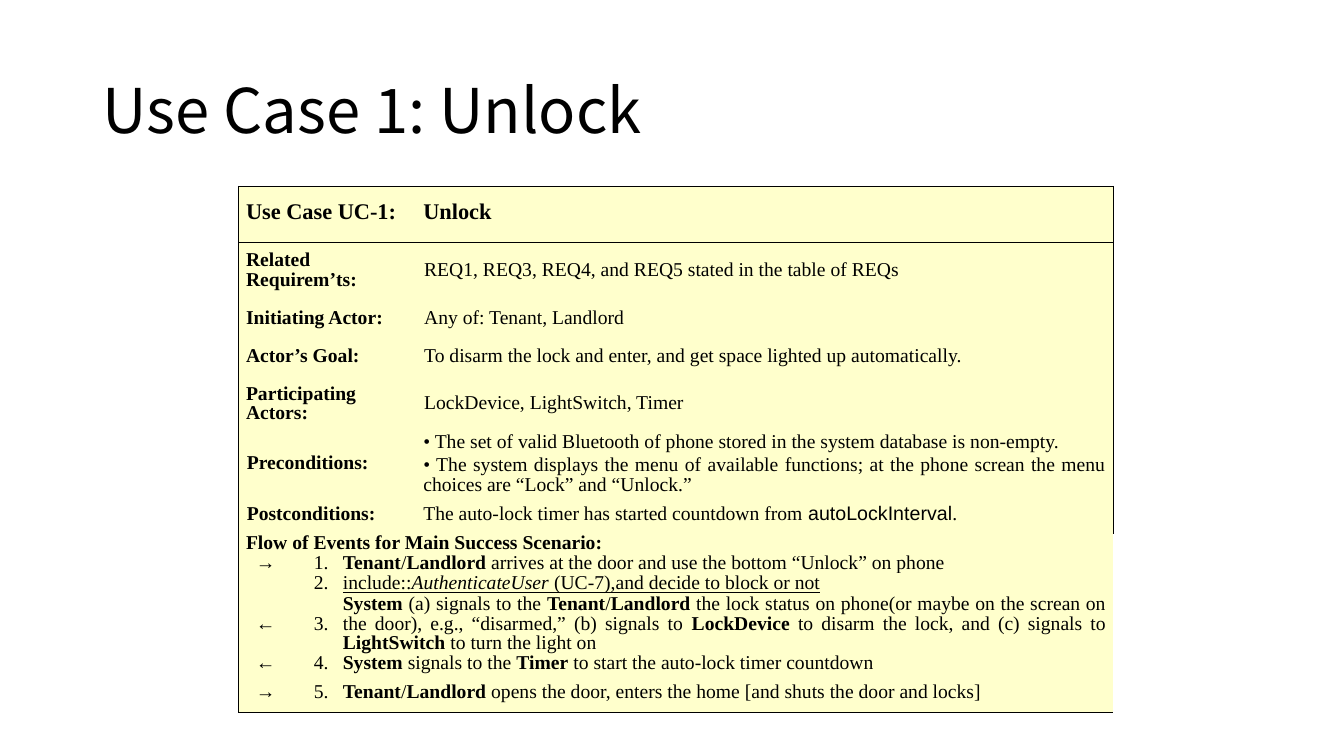
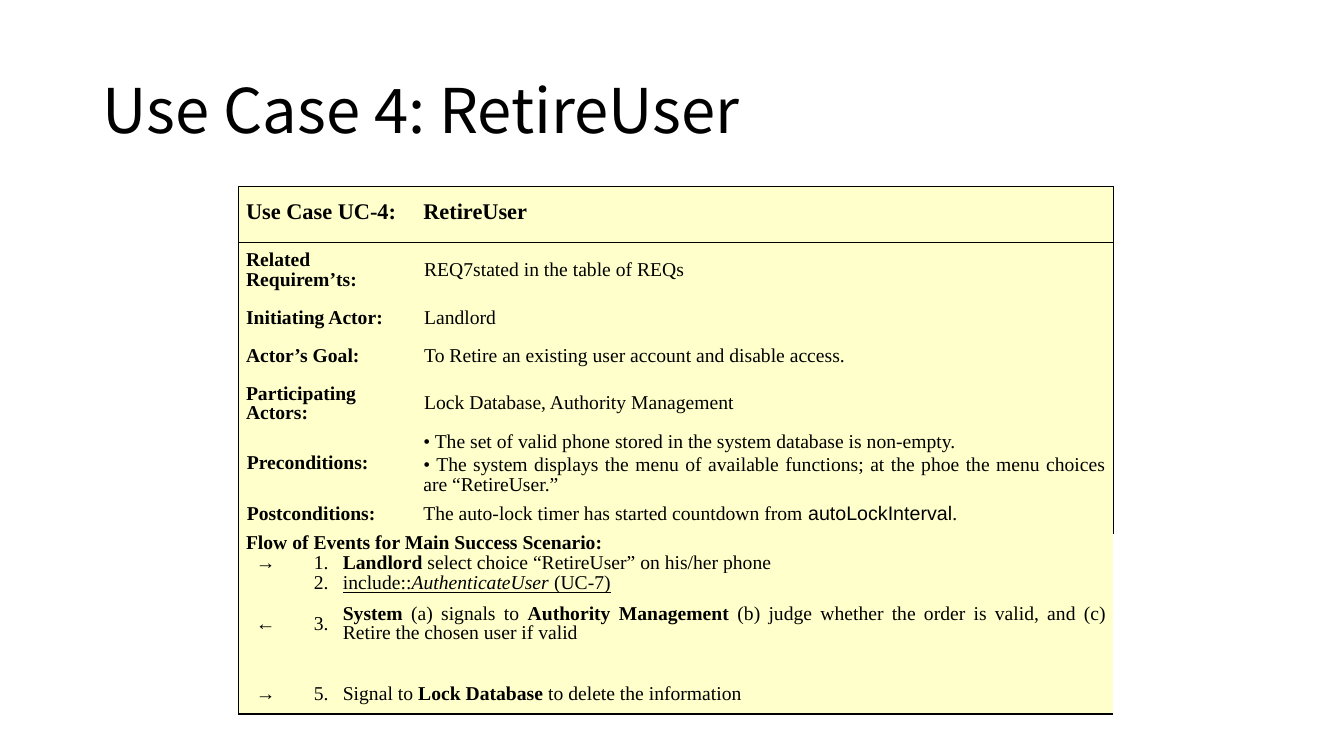
import lxml.etree
import pptx
import pptx.dml.color
import pptx.enum.text
import pptx.oxml.ns
import pptx.util

Cm = pptx.util.Cm
Pt = pptx.util.Pt
qn = pptx.oxml.ns.qn
Align = pptx.enum.text.PP_ALIGN
MIDDLE = pptx.enum.text.MSO_ANCHOR.MIDDLE

COLORS = {"ink": "000000", "paper": "FFFFCC"}
TITLE_FONT = "Noto Sans CJK SC"
BODY_FONT = "Times New Roman"
CODE_FONT = "Arial"

TITLE_BOX = (2.33, 1.01, 29.21, 3.68)
CARD_BOX = (6.02, 4.7, 22.04)
MARKER_WIDTHS = (1.35, 1.09, 2.03)
HEADING_HEIGHT = 1.42
FIELD_HEIGHTS = (1.42, 0.97, 0.97, 1.42, 1.59, 0.97)
FLOW_HEIGHT = 0.49
STEP_HEIGHTS = (0.49, 0.49, 1.48, 0.49, 0.97)

FIELD_NAMES = ("Related Requirem’ts:", "Initiating Actor:", "Actor’s Goal:",
               "Participating Actors:", "Preconditions:", "Postconditions:")
FLOW_TITLE = "Flow of Events for Main Success Scenario:"
EVEN_INSETS = (0.18, 0.18)
NAME_INSETS = (0.2, 0.05)
VALUE_INSETS = (0.2, 0.1)

TENANT_OR_LANDLORD = [("Tenant", "b"), "/", ("Landlord", "b")]
INCLUDE_LOGIN = [("include::", "u"), ("AuthenticateUser", "ui")]
POSTCONDITION = ["The auto-lock timer has started countdown from ",
                 ("autoLockInterval", "c"), "."]

USE_CASES = [
    {
        "number": 1,
        "name": "Unlock",
        "fields": [
            [["REQ1, REQ3, REQ4, and REQ5 stated in the table of REQs"]],
            [["Any of: Tenant, Landlord"]],
            [["To disarm the lock and enter, and get space lighted up automatically."]],
            [["LockDevice, LightSwitch, Timer"]],
            [["• The set of valid Bluetooth of phone stored in the system database is non-empty."],
             ["• The system displays the menu of available functions; at the phone screan "
              "the menu choices are “Lock” and “Unlock.”"]],
            [POSTCONDITION],
        ],
        "steps": [
            ("→", "1.", TENANT_OR_LANDLORD
             + [" arrives at the door and use the bottom “Unlock” on phone"]),
            ("", "2.", INCLUDE_LOGIN + [(" (UC-7),and decide to block or not", "u")]),
            ("←", "3.", [("System", "b"), " (a) signals to the "] + TENANT_OR_LANDLORD
             + [" the lock status on phone(or maybe on the screan on the door), "
                "e.g., “disarmed,” (b) signals to ", ("LockDevice", "b"),
                " to disarm the lock, and (c) signals to ", ("LightSwitch", "b"),
                " to turn the light on"]),
            ("←", "4.", [("System", "b"), " signals to the ", ("Timer", "b"),
                         " to start the auto-lock timer countdown"]),
            ("→", "5.", TENANT_OR_LANDLORD
             + [" opens the door, enters the home [and shuts the door and locks]"]),
        ],
    },
    {
        "number": 4,
        "name": "RetireUser",
        "fields": [
            [["REQ7stated in the table of REQs"]],
            [["Landlord"]],
            [["To Retire an existing user account and disable access."]],
            [["Lock Database, Authority Management"]],
            [["• The set of valid phone stored in the system database is non-empty."],
             ["• The system displays the menu of available functions; at the phoe "
              "the menu choices are “RetireUser.”"]],
            [POSTCONDITION],
        ],
        "steps": [
            ("→", "1.", [("Landlord", "b"), " select choice “RetireUser” on his/her phone"]),
            ("", "2.", INCLUDE_LOGIN + [(" (UC-7)", "u")]),
            ("←", "3.", [("System", "b"), " (a) signals to ", ("Authority Management ", "b"),
                         "(b) judge whether the order is valid, and (c) Retire the chosen "
                         "user if valid"]),
            ("", "", []),
            ("→", "5.", ["Signal to ", ("Lock Database ", "b"), "to delete the information"]),
        ],
    },
]


def style_font(font, name, size, bold=False):
    font.name = name
    font.size = Pt(size)
    font.bold = bold
    font.color.rgb = pptx.dml.color.RGBColor.from_string(COLORS["ink"])


def add_run(paragraph, piece):
    text, marks = (piece, "") if isinstance(piece, str) else piece
    run = paragraph.add_run()
    run.text = text
    if "b" in marks:
        run.font.bold = True
    if "i" in marks:
        run.font.italic = True
    if "u" in marks:
        run.font.underline = True
    if "c" in marks:
        run.font.name = CODE_FONT


def write_cell(cell, paragraphs, align=Align.JUSTIFY, insets=EVEN_INSETS,
               size=14, bold=False, before=0):
    cell.margin_left, cell.margin_right = (Cm(inset) for inset in insets)
    cell.margin_top = cell.margin_bottom = 0
    cell.vertical_anchor = MIDDLE
    for index, pieces in enumerate(paragraphs):
        frame = cell.text_frame
        paragraph = frame.add_paragraph() if index else frame.paragraphs[0]
        paragraph.alignment = align
        paragraph.line_spacing = Pt(14)
        paragraph.space_before = Pt(before)
        style_font(paragraph.font, BODY_FONT, size, bold)
        for piece in pieces:
            add_run(paragraph, piece)


def frame_cell(cell, ruled_edges):
    properties = cell._tc.get_or_add_tcPr()
    for edge in "LRTB":
        line = lxml.etree.SubElement(properties, qn(f"a:ln{edge}"), w=str(Pt(1)))
        if edge in ruled_edges:
            fill = lxml.etree.SubElement(line, qn("a:solidFill"))
            lxml.etree.SubElement(fill, qn("a:srgbClr"), val=COLORS["ink"])
        else:
            lxml.etree.SubElement(line, qn("a:noFill"))
    cell.fill.solid()
    cell.fill.fore_color.rgb = pptx.dml.color.RGBColor.from_string(COLORS["paper"])


def frame_card(card):
    last_row, last_column = len(card.rows) - 1, len(card.columns) - 1
    for row in range(last_row + 1):
        for column in range(last_column + 1):
            ruled = {"L": column == 0, "R": column == last_column,
                     "T": row in (0, 1), "B": row in (0, last_row)}
            frame_cell(card.cell(row, column), [edge for edge in ruled if ruled[edge]])


def write_heading(card, use_case):
    card.cell(0, 0).merge(card.cell(0, 2))
    for column, text in ((0, f"Use Case UC-{use_case['number']}:"), (3, use_case["name"])):
        write_cell(card.cell(0, column), [[text]], Align.LEFT, size=16, bold=True, before=6)


def write_fields(card, first_row, fields):
    for index, (name, paragraphs) in enumerate(zip(FIELD_NAMES, fields)):
        row = first_row + index
        is_condition = name.endswith("conditions:")
        card.cell(row, 0).merge(card.cell(row, 2))
        write_cell(card.cell(row, 0), [[name]], bold=True, before=3,
                   insets=NAME_INSETS if is_condition else EVEN_INSETS)
        write_cell(card.cell(row, 3), paragraphs, before=3,
                   insets=EVEN_INSETS if is_condition else VALUE_INSETS)


def write_flow(card, first_row, steps):
    card.cell(first_row, 0).merge(card.cell(first_row, 3))
    write_cell(card.cell(first_row, 0), [[FLOW_TITLE]], bold=True, before=4)
    for row, (arrow, number, action) in enumerate(steps, first_row + 1):
        card.cell(row, 2).merge(card.cell(row, 3))
        write_cell(card.cell(row, 0), [[arrow] if arrow else []], Align.CENTER)
        write_cell(card.cell(row, 1), [[number] if number else []], Align.RIGHT)
        write_cell(card.cell(row, 2), [action])


def add_card(slide, box, use_case):
    left, top, width = box
    heights = (HEADING_HEIGHT, *FIELD_HEIGHTS, FLOW_HEIGHT, *STEP_HEIGHTS)
    widths = (*MARKER_WIDTHS, width - sum(MARKER_WIDTHS))
    card = slide.shapes.add_table(len(heights), len(widths), Cm(left), Cm(top),
                                  Cm(width), Cm(sum(heights))).table
    card.first_row = card.horz_banding = False
    for row, height in zip(card.rows, heights):
        row.height = Cm(height)
    for column, column_width in zip(card.columns, widths):
        column.width = Cm(column_width)
    frame_card(card)
    write_heading(card, use_case)
    write_fields(card, 1, use_case["fields"])
    write_flow(card, 1 + len(FIELD_NAMES), use_case["steps"])


def set_title(slide, box, text):
    title = slide.shapes.title
    title.left, title.top, title.width, title.height = (Cm(length) for length in box)
    title.text_frame.text = text
    title.text_frame.vertical_anchor = MIDDLE
    paragraph = title.text_frame.paragraphs[0]
    paragraph.alignment = Align.LEFT
    paragraph.line_spacing = 0.9
    style_font(paragraph.font, TITLE_FONT, 44)


def add_use_case_slide(deck, use_case):
    slide = deck.slides.add_slide(deck.slide_layouts.get_by_name("Title Only"))
    set_title(slide, TITLE_BOX, f"Use Case {use_case['number']}: {use_case['name']}")
    add_card(slide, CARD_BOX, use_case)


def main():
    deck = pptx.Presentation()
    deck.slide_width, deck.slide_height = Cm(33.87), Cm(19.05)
    for use_case in USE_CASES:
        add_use_case_slide(deck, use_case)
    deck.save("out.pptx")


if __name__ == "__main__":
    main()
